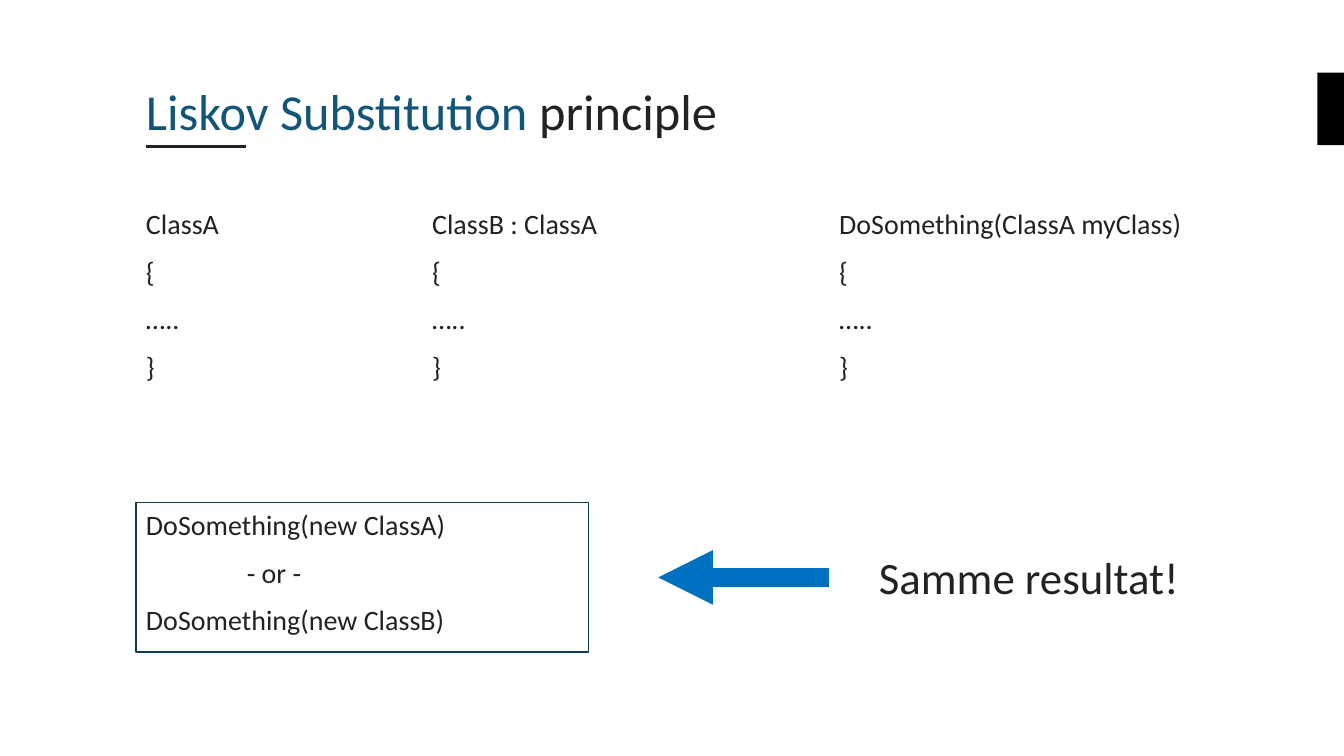
from dataclasses import dataclass
from lxml import etree
from pptx import Presentation
from pptx import util as u
from pptx.dml.color import RGBColor
from pptx.enum import shapes, text
from pptx.oxml.ns import qn


@dataclass(frozen=True)
class Theme:
    font: str = "Calibri"
    ink: str = "222222"
    accent: str = "125579"
    frame: str = "0D3C55"
    arrow: str = "0070C0"
    tab: str = "000000"
    paper: str = "FFFFFF"
    title: int = 36
    result: int = 32
    body: int = 20


theme = Theme()


def write(shape, lines, size=theme.body, gap=10, spacing=None, wrap=True,
          anchor=text.MSO_ANCHOR.TOP, indents=()):
    frame = shape.text_frame
    frame.word_wrap = wrap
    frame.vertical_anchor = anchor
    for index, line in enumerate(lines):
        paragraph = frame.paragraphs[0] if index == 0 else frame.add_paragraph()
        paragraph.alignment = text.PP_ALIGN.LEFT
        paragraph.space_before = u.Pt(gap if index else 0)
        if spacing:
            paragraph.line_spacing = spacing
        if index in indents:
            paragraph._p.get_or_add_pPr().set("marL", str(u.Cm(2.54)))
        for words, color in line:
            run = paragraph.add_run()
            run.text = words
            run.font.name = theme.font
            run.font.size = u.Pt(size)
            run.font.color.rgb = RGBColor.from_string(color)


def add_line(slide, start, end, color, width):
    line = slide.shapes.add_connector(
        shapes.MSO_CONNECTOR.STRAIGHT, *map(u.Cm, start + end))
    line.line.color.rgb = RGBColor.from_string(color)
    line.line.width = u.Pt(width)
    etree.SubElement(line._element.spPr, qn("a:effectLst"))
    return line


presentation = Presentation()
presentation.slide_width = u.Cm(33.87)
presentation.slide_height = u.Cm(19.05)
slide = presentation.slides.add_slide(presentation.slide_layouts[6])

edge_tab = slide.shapes.add_shape(
    shapes.MSO_SHAPE.RECTANGLE, u.Cm(33.2), u.Cm(1.83), u.Cm(0.67), u.Cm(1.83))
edge_tab.shadow.inherit = False
edge_tab.fill.solid()
edge_tab.fill.fore_color.rgb = RGBColor.from_string(theme.tab)
edge_tab.line.fill.background()

add_line(slide, (3.69, 3.69), (6.2, 3.69), theme.ink, 2)

title = slide.shapes.add_textbox(u.Cm(3.43), u.Cm(1.02), u.Cm(28.2), u.Cm(2.67))
write(title, [[("Liskov Substitution ", theme.accent), ("principle", theme.ink)]],
      size=theme.title, spacing=0.9, anchor=text.MSO_ANCHOR.BOTTOM)

code_columns = [
    ("ClassA", 3.43, 4.47),
    ("ClassB : ClassA", 10.64, 5.84),
    ("DoSomething(ClassA myClass)", 20.9, 11.4),
]
for heading, left, width in code_columns:
    column = slide.shapes.add_textbox(u.Cm(left), u.Cm(5.08), u.Cm(width), u.Cm(4.9))
    write(column, [[(line, theme.ink)] for line in (heading, "{", "…..", "}")])

calls = slide.shapes.add_shape(
    shapes.MSO_SHAPE.RECTANGLE, u.Cm(3.43), u.Cm(12.67), u.Cm(11.4), u.Cm(3.76))
calls.shadow.inherit = False
calls.fill.solid()
calls.fill.fore_color.rgb = RGBColor.from_string(theme.paper)
calls.line.color.rgb = RGBColor.from_string(theme.frame)
calls.line.width = u.Pt(1)
call_lines = ("DoSomething(new ClassA)", "- or -", "DoSomething(new ClassB)")
write(calls, [[(line, theme.ink)] for line in call_lines], indents=(1,))

arrow = add_line(slide, (20.9, 14.55), (16.59, 14.55), theme.arrow, 13)
etree.SubElement(arrow.line._get_or_add_ln(), qn("a:tailEnd"), type="triangle")

result = slide.shapes.add_textbox(u.Cm(21.9), u.Cm(13.74), u.Cm(8.15), u.Cm(1.63))
write(result, [[("Samme resultat!", theme.ink)]], size=theme.result, wrap=False)

presentation.save("out.pptx")
